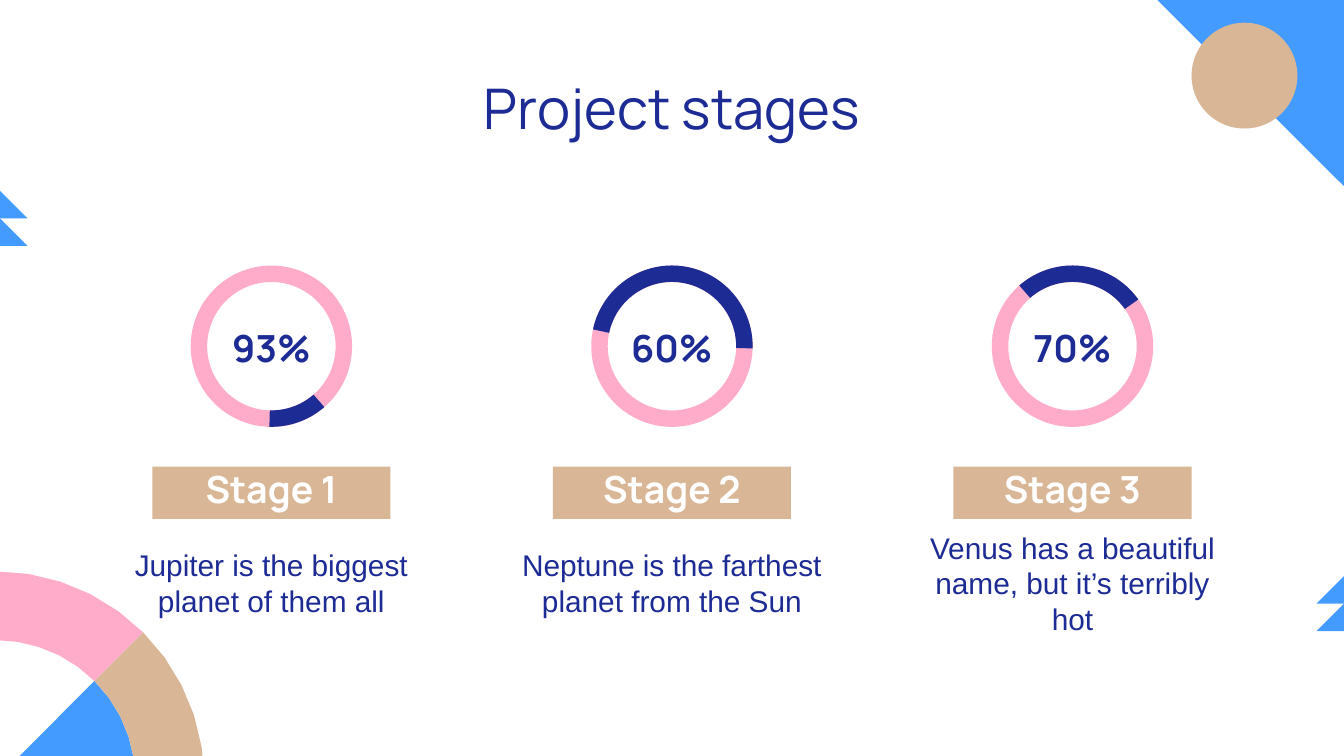
from dataclasses import dataclass
from math import cos, radians, sin

from pptx import Presentation
from pptx.dml.color import RGBColor
from pptx.enum.shapes import MSO_SHAPE as Shape
from pptx.enum.text import MSO_ANCHOR as Anchor, MSO_AUTO_SIZE as AutoSize, PP_ALIGN as Align
from pptx.util import Cm, Pt


@dataclass(frozen=True)
class Theme:
    navy: RGBColor = RGBColor(0x1D, 0x2B, 0x95)
    blue: RGBColor = RGBColor(0x44, 0x9B, 0xFF)
    pink: RGBColor = RGBColor(0xFF, 0xAC, 0xCA)
    tan: RGBColor = RGBColor(0xD9, 0xB6, 0x95)
    white: RGBColor = RGBColor(0xFF, 0xFF, 0xFF)
    heading_font: str = "Manrope"
    body_font: str = "Arial"
    title_size: Pt = Pt(30)
    label_size: Pt = Pt(20)
    body_size: Pt = Pt(16)


theme = Theme()
presentation = Presentation()
presentation.slide_width = Cm(25.4)
presentation.slide_height = Cm(14.29)
slide = presentation.slides.add_slide(presentation.slide_layouts[5])


def paint(shape, color):
    shape.fill.solid()
    shape.fill.fore_color.rgb = color
    shape.line.fill.background()
    shape.shadow.inherit = False
    return shape


def write(shape, text, size, color, font=theme.heading_font, bold=False):
    frame = shape.text_frame
    frame.word_wrap = True
    frame.auto_size = AutoSize.NONE
    frame.vertical_anchor = Anchor.MIDDLE
    frame.margin_left = frame.margin_right = Cm(0.25)
    frame.margin_top = frame.margin_bottom = Cm(0.25)
    paragraph = frame.paragraphs[0]
    paragraph.text = text
    paragraph.alignment = Align.CENTER
    paragraph.font.name = font
    paragraph.font.size = size
    paragraph.font.bold = bold
    paragraph.font.color.rgb = color
    return paragraph


# Triangles: top-right corner, left edge and right edge
outlines = [([(21.51, -0.36), (25.48, -0.36), (25.48, 3.6)], theme.blue)]
for edge, tip, top in ((0, 0.52, 3.61), (25.4, 24.88, 10.89)):
    for y in (top, top + 0.52):
        outlines.append(([(edge, y), (tip, y + 0.52), (edge, y + 0.52)], theme.blue))

# Quarter ring in the bottom-left corner: blue core, pink and tan sectors
center_x, center_y, inner, outer = -0.08, 14.74, 2.64, 3.94
for inside, outside, start, color in (
    (0, inner, 0, theme.blue),
    (inner, outer, 45, theme.pink),
    (inner, outer, 0, theme.tan),
):
    angles = [radians(start + step) for step in range(0, 46, 9)]
    polar = [(outside, angle) for angle in angles]
    polar += [(inside, angle) for angle in reversed(angles)] if inside else [(0, 0)]
    points = [(center_x + r * cos(a), center_y - r * sin(a)) for r, a in polar]
    outlines.append((points, color))

for points, color in outlines:
    corners = [(Cm(x), Cm(y)) for x, y in points]
    builder = slide.shapes.build_freeform(*corners[0])
    builder.add_line_segments(corners[1:], close=True)
    paint(builder.convert_to_shape(), color)

# Circle over the top-right corner
paint(slide.shapes.add_shape(Shape.OVAL, Cm(22.52), Cm(0.43), Cm(2), Cm(2)), theme.tan)

# Title
title = slide.shapes.title
title.left, title.top, title.width, title.height = Cm(1.98), Cm(1.23), Cm(21.44), Cm(1.6)
write(title, "Project stages", theme.title_size, theme.navy)

# Stages: share, description, start and end angle of the dark arc
stages = [
    ("93%", "Jupiter is the biggest planet of them all", 49, 91.4),
    ("60%", "Neptune is the farthest planet from the Sun", 192, 1.6),
    ("70%", "Venus has a beautiful name, but it’s terribly hot", 228.8, 324.6),
]
first_center, pitch, ring_size, ring_top = 5.13, 7.57, 3.05, 5.02
thickness = 0.102
for index, (share, description, start, end) in enumerate(stages):
    center = first_center + index * pitch

    # Ring with its dark arc; angles are stored in 60000ths of a degree
    ring_box = Cm(center - ring_size / 2), Cm(ring_top), Cm(ring_size), Cm(ring_size)
    ring = paint(slide.shapes.add_shape(Shape.DONUT, *ring_box), theme.pink)
    ring.adjustments[0] = thickness
    arc = paint(slide.shapes.add_shape(Shape.BLOCK_ARC, *ring_box), theme.navy)
    for position, value in enumerate((start * 0.6, end * 0.6, thickness)):
        arc.adjustments[position] = value

    # Share inside the ring
    share_box = slide.shapes.add_textbox(Cm(center - 1.25), Cm(5.48), Cm(2.5), Cm(2.18))
    write(share_box, share, theme.label_size, theme.navy, bold=True)

    # Stage label
    label = slide.shapes.add_shape(
        Shape.RECTANGLE, Cm(center - 2.25), Cm(8.82), Cm(4.5), Cm(0.99)
    )
    paint(label, theme.tan)
    paragraph = write(label, f"Stage {index + 1}", theme.label_size, theme.white, bold=True)
    paragraph.line_spacing = 0.8

    # Description
    description_box = slide.shapes.add_textbox(
        Cm(center - 3.1), Cm(10.22), Cm(6.2), Cm(1.6)
    )
    write(description_box, description, theme.body_size, theme.navy, theme.body_font)

presentation.save("out.pptx")
